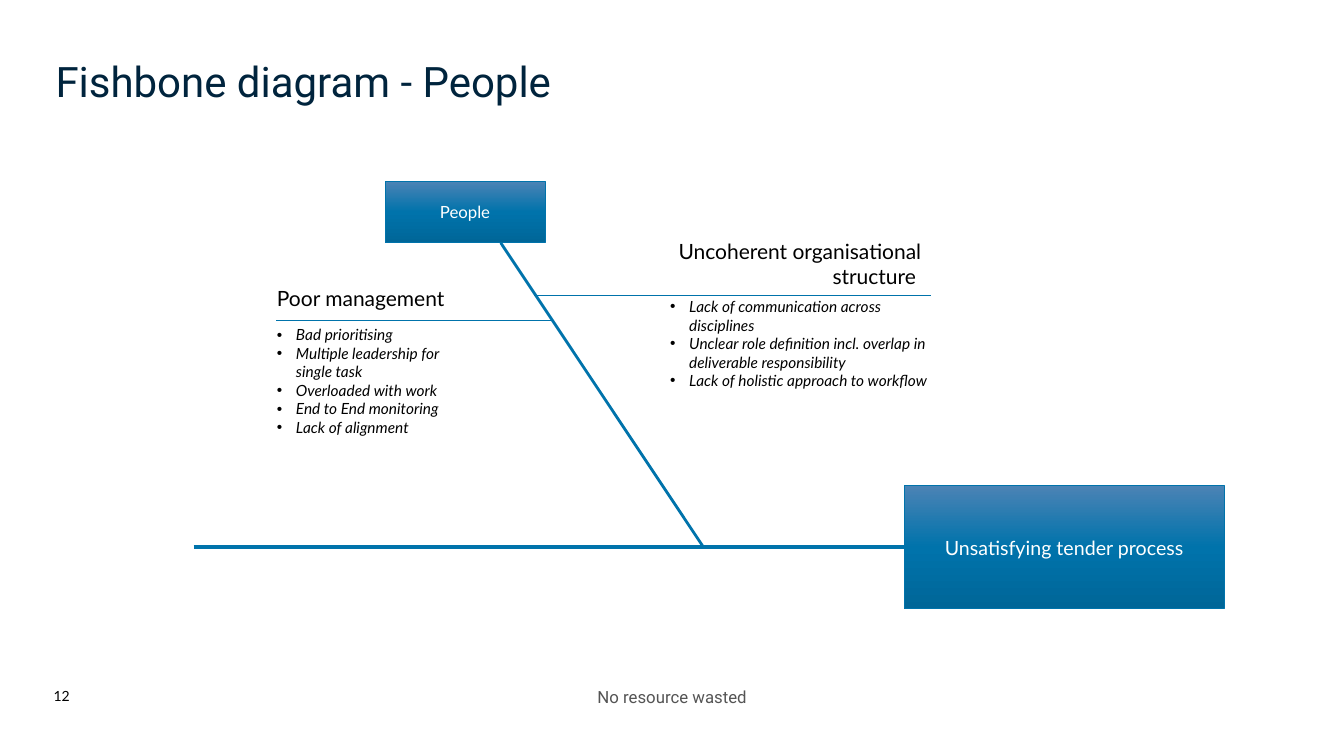
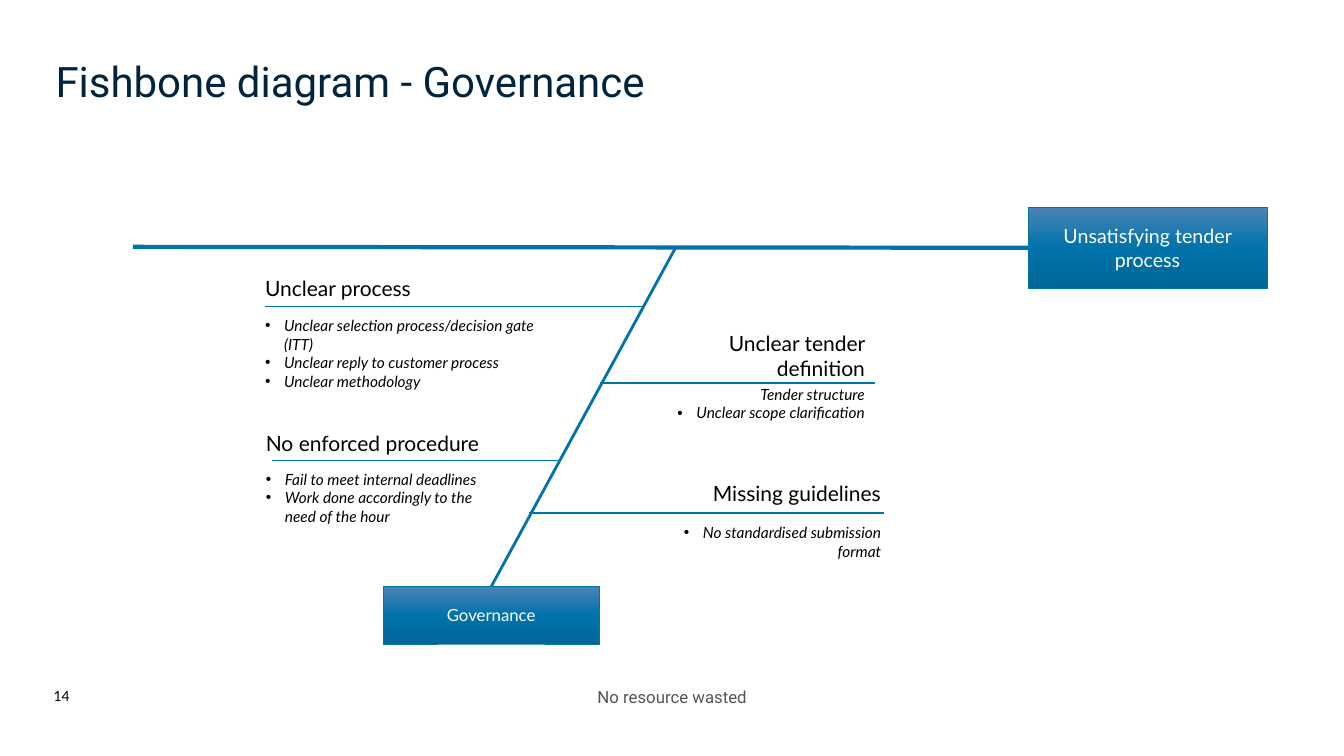
from copy import deepcopy

from lxml import etree
from pptx import Presentation
from pptx.dml.color import RGBColor
from pptx.enum import shapes, text
from pptx.oxml import ns
from pptx.util import Cm, Pt

COLORS = {
    "title": "00243D",
    "footer": "545454",
    "body": "000000",
    "light": "FFFFFF",
    "line": "0073AB",
    "box": ["4B83B5", "0073AB", "006698"],
}
FONTS = {
    "title": {"name": "Roboto", "size": Pt(30)},
    "footer": {"name": "Roboto", "size": Pt(12)},
    "number": {"name": "Lato", "size": Pt(10)},
    "heading": {"name": "Lato", "size": Pt(15)},
    "detail": {"name": "Lato", "size": Pt(11), "italic": True},
    "effect": {"name": "Lato", "size": Pt(14)},
    "category": {"name": "Lato", "size": Pt(12)},
}
LEFT, CENTER, RIGHT = text.PP_ALIGN.LEFT, text.PP_ALIGN.CENTER, text.PP_ALIGN.RIGHT
MARGINS = ("margin_left", "margin_top", "margin_right", "margin_bottom")
EFFECT = "Unsatisfying tender process"


def rgb(value):
    return RGBColor.from_string(value)


def add_bullet(p):
    p_pr = p._p.get_or_add_pPr()
    p_pr.set("marL", str(Cm(0.48)))
    p_pr.set("indent", str(-Cm(0.48)))
    font = etree.SubElement(p_pr, ns.qn("a:buFont"))
    font.set("typeface", "Arial")
    etree.SubElement(p_pr, ns.qn("a:buChar")).set("char", "•")


class Fishbone:
    """Draws fishbone slides; all lengths are in centimetres."""

    def __init__(self):
        self.prs = Presentation()
        self.prs.slide_width, self.prs.slide_height = Cm(33.87), Cm(19.05)
        self.s = None

    def new_slide(self, title, number):
        self.s = self.prs.slides.add_slide(self.prs.slide_layouts[6])
        self.label(title, (1.4, 1.4, 31.14, 2), "title", "title", margin=0)
        self.label("No resource wasted", (11.25, 17.3, 11.38, 0.51),
                   "footer", "footer", CENTER, margin=0)
        self.label(number, (1.35, 17.32, 1.14, 0.51), "number", margin=0)

    def paragraph(self, p, words, style, color="body", align=LEFT):
        p.alignment = align
        r = p.add_run()
        r.text = words
        for key, value in FONTS[style].items():
            setattr(r.font, key, value)
        r.font.color.rgb = rgb(COLORS[color])

    def frame(self, tf, margin):
        tf.word_wrap = True
        if margin is not None:
            for side in MARGINS:
                setattr(tf, side, Cm(margin))
        return tf

    def label(self, words, at, style, color="body", align=LEFT, margin=None):
        sp = self.s.shapes.add_textbox(*map(Cm, at))
        tf = self.frame(sp.text_frame, margin)
        self.paragraph(tf.paragraphs[0], words, style, color, align)

    def details(self, items, at, align=LEFT, intro=None):
        """Bulleted list, with an optional first line that has no bullet."""
        tf = self.s.shapes.add_textbox(*map(Cm, at)).text_frame
        self.frame(tf, None)
        lines = ([intro] if intro else []) + items
        for i, words in enumerate(lines):
            p = tf.add_paragraph() if i else tf.paragraphs[0]
            self.paragraph(p, words, "detail", align=align)
            if words != intro:
                add_bullet(p)

    def box(self, words, at, style):
        sp = self.s.shapes.add_shape(shapes.MSO_SHAPE.RECTANGLE, *map(Cm, at))
        sp.shadow.inherit = False
        sp.line.color.rgb = rgb(COLORS["line"])
        sp.line.width = Pt(0.5)
        sp.fill.gradient()
        sp.fill.gradient_angle = 270
        stops = next(sp._element.iter(ns.qn("a:gsLst")))
        stops.append(deepcopy(stops[-1]))
        for i, stop in enumerate(sp.fill.gradient_stops):
            stop.position = i / 2
            stop.color.rgb = rgb(COLORS["box"][i])
        tf = self.frame(sp.text_frame, 0.66)
        tf.vertical_anchor = text.MSO_ANCHOR.MIDDLE
        self.paragraph(tf.paragraphs[0], words, style, "light", CENTER)
        return sp

    def line(self, start, end, width):
        c = self.s.shapes.add_connector(shapes.MSO_CONNECTOR.STRAIGHT,
                                        *map(Cm, (*start, *end)))
        c.line.color.rgb = rgb(COLORS["line"])
        c.line.width = Pt(width)
        etree.SubElement(c._element.spPr, ns.qn("a:effectLst"))
        return c

    def spine(self, start, effect_at):
        """Effect box and the main line that runs into its left side."""
        effect = self.box(EFFECT, effect_at, "effect")
        self.line(start, effect_at[:2], 3).end_connect(effect, 1)

    def cause(self, heading, heading_at, rule, items, items_at,
              align=LEFT, items_align=LEFT, intro=None):
        """Heading, the rule below it as (x1, x2, y), and its details."""
        x1, x2, y = rule
        self.label(heading, heading_at, "heading", align=align)
        self.line((x1, y), (x2, y), 1)
        self.details(items, items_at, items_align, intro)


def people(f):
    f.new_slide("Fishbone diagram - People", "12")
    f.spine((4.88, 13.79), (22.78, 12.24, 8.08, 3.1))
    f.box("People", (9.7, 4.57, 4.04, 1.55), "category")
    f.line((12.62, 6.12), (17.73, 13.79), 2)
    f.cause("Poor management", (6.73, 7.06, 4.93, 0.89), (6.96, 13.92, 8.08),
            ["Bad prioritising", "Multiple leadership for single task",
             "Overloaded with work", "End to End monitoring",
             "Lack of alignment"],
            (6.73, 8.08, 4.9, 3.56))
    f.cause("Uncoherent organisational structure ", (16.31, 5.89, 7.16, 1.55),
            (13.46, 23.47, 7.44),
            ["Lack of communication across disciplines",
             "Unclear role definition incl. overlap in deliverable responsibility",
             "Lack of holistic approach to workflow"],
            (16.64, 7.37, 7.21, 2.62), align=RIGHT)


def governance(f):
    f.new_slide("Fishbone diagram - Governance", "14")
    f.spine((3.35, 6.22), (25.91, 5.23, 6.02, 2.03))
    category = f.box("Governance", (9.65, 14.78, 5.46, 1.45), "category")
    f.line((12.4, 14.78), (17.02, 6.25), 2).begin_connect(category, 0)
    f.cause("Unclear process", (6.43, 6.83, 4.78, 0.86), (6.68, 16.23, 7.72),
            ["Unclear selection process/decision gate (ITT)",
             "Unclear reply to customer process", "Unclear methodology"],
            (6.43, 7.85, 7.57, 2.13))
    f.cause("No enforced procedure", (6.45, 10.72, 7.85, 0.86),
            (6.86, 14.1, 11.61),
            ["Fail to meet internal deadlines",
             "Work done accordingly to the need of the hour"],
            (6.45, 11.71, 6.55, 1.63))
    f.cause("Unclear tender definition", (16.56, 8.2, 5.49, 1.5),
            (15.11, 22.05, 9.65), ["Unclear scope clarification"],
            (14.48, 9.58, 7.57, 1.17), RIGHT, RIGHT, intro="Tender structure")
    f.cause("Missing guidelines", (17.22, 11.99, 5.23, 0.86),
            (13.34, 22.28, 12.93), ["No standardised submission format"],
            (16.59, 13.06, 5.87, 1.17), RIGHT, RIGHT)


def main():
    f = Fishbone()
    people(f)
    governance(f)
    f.prs.save("out.pptx")


if __name__ == "__main__":
    main()
